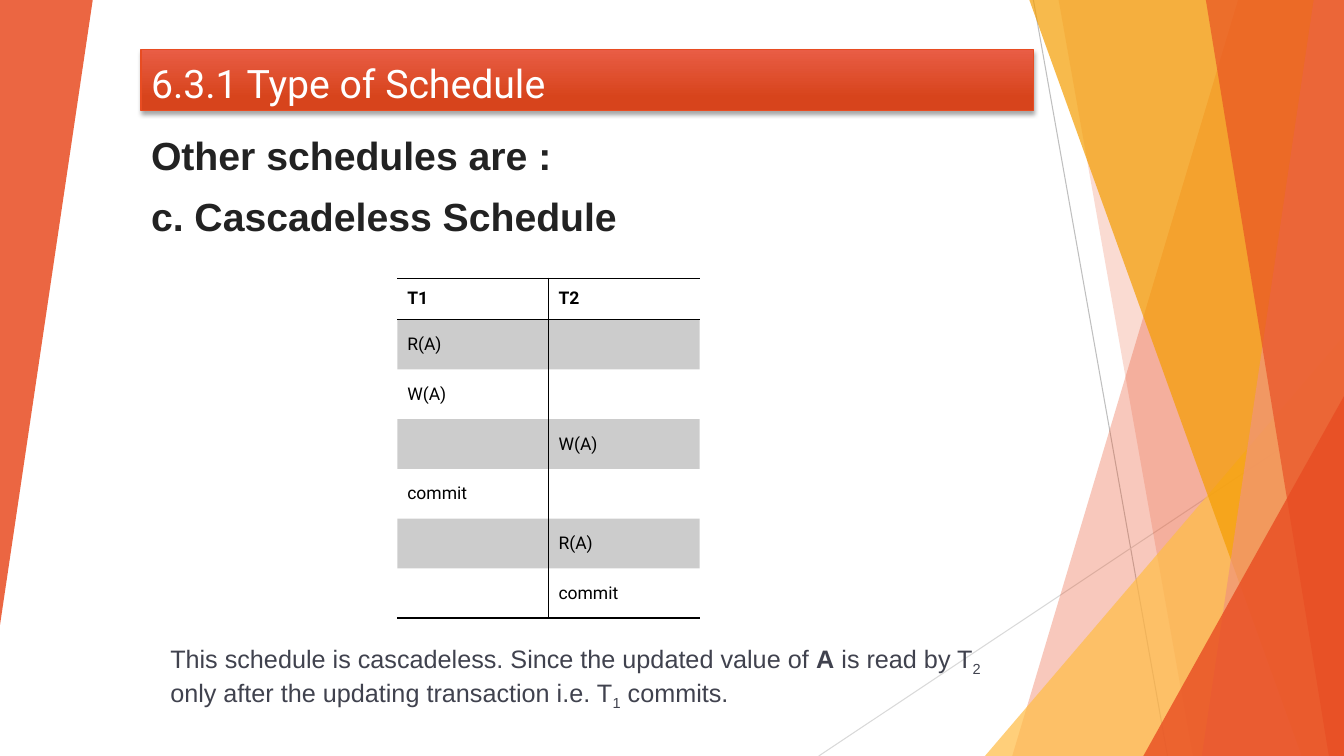
"""Build the slide on the cascadeless schedule, with its table of two transactions."""
from lxml.etree import SubElement
from pptx import Presentation
from pptx.dml.color import RGBColor
from pptx.enum.shapes import MSO_CONNECTOR as Connector, MSO_SHAPE as Shape
from pptx.enum.text import MSO_ANCHOR as Anchor, PP_ALIGN as Align
from pptx.oxml import parse_xml
from pptx.oxml.ns import nsdecls, qn
from pptx.util import Inches, Pt

TITLE = "6.3.1 Type of Schedule"
HEADINGS = ["Other schedules are :", "c. Cascadeless Schedule"]
SCHEDULE = [
    ("T1", "T2"),
    ("R(A)", ""),
    ("W(A)", ""),
    ("", "W(A)"),
    ("commit", ""),
    ("", "R(A)"),
    ("", "commit"),
]
NOTE = [
    ("This schedule is cascadeless. Since the updated value of ", ""),
    ("A", "bold"),
    (" is read by T", ""),
    ("2", "sub"),
    (" only after the updating transaction i.e. T", ""),
    ("1", "sub"),
    (" commits.", ""),
]
COLORS = {
    "orange": "E84C22", "amber": "F49D00", "gold": "FFBD47", "salmon": "F1947A",
    "title_top": "E95D45", "title_bottom": "D7441C", "white": "FFFFFF",
    "black": "000000", "heading": "222222", "note": "40424E",
    "steep_line": "BFBFBF", "flat_line": "D9D9D9",
}

# Places and sizes are percentages of the slide's width and height.
RAYS = [
    ("steep_line", (76.89, 0), (86.87, 100)),
    ("flat_line", (100, 53.73), (60.92, 100)),
]
# A band runs from its top left and bottom left corners to the right edge.
BACK_BANDS = [("orange", 30, 92.12, 75.32), ("orange", 20, 78.77, 88.75)]
FRONT_BANDS = [
    ("amber", 70, 76.59, 96.85),
    ("salmon", 70, 97.75, 89.42),
    ("orange", 65, 89.72, 98.87),
]
BACK_WEDGE = ("gold", 72, (73.29, 44.4, 26.71, 55.6), 0)
FRONT_WEDGES = [
    ("orange", 80, (85.07, 52.4, 14.93, 47.6), 0),
    ("orange", 85, (0, 0, 6.9, 82.67), 180),
]
TITLE_AREA = (10.5, 6.53, 66.39, 8.13)
HEADING_AREA = (10.5, 16.67, 66.39, 16.8)
TABLE_AREA = (29.56, 36.8, 22.5, 44.98)
NOTE_AREA = (11.93, 84.4, 64.07, 9.47)
HEADER_ROW, BODY_ROW = 5.5, 6.58
NO_GRID_STYLE = "{2D5ABB26-0587-4C30-8999-92F81FD0307C}"

deck = Presentation()
deck.slide_width, deck.slide_height = Inches(13.33), Inches(7.5)
slide = deck.slides.add_slide(deck.slide_layouts[6])
shapes = slide.shapes


def across(share):
    return int(deck.slide_width * share / 100)


def down(share):
    return int(deck.slide_height * share / 100)


def place(area):
    left, top, width, height = area
    return across(left), down(top), across(width), down(height)


def rgb(color):
    return RGBColor.from_string(COLORS[color])


def tint(fill, properties, color, opacity):
    fill.solid()
    fill.fore_color.rgb = rgb(color)
    value = properties.find(qn("a:solidFill")).find(qn("a:srgbClr"))
    SubElement(value, qn("a:alpha"), val=str(opacity * 1000))


def write(paragraph, text, size, color, font="Arial", bold=False):
    run = paragraph.add_run()
    run.text = text
    run.font.size, run.font.name, run.font.bold = Pt(size), font, bold
    run.font.color.rgb = rgb(color)
    return run


def add_ray(color, start, end):
    ray = shapes.add_connector(
        Connector.STRAIGHT, across(start[0]), down(start[1]), across(end[0]), down(end[1]))
    ray.line.color.rgb = rgb(color)
    ray.line.width = Pt(0.75)
    SubElement(ray._element.spPr, qn("a:effectLst"))


def finish_facet(facet, color, opacity):
    facet.shadow.inherit = False
    facet.line.fill.background()
    tint(facet.fill, facet._element.spPr, color, opacity)


def add_band(color, opacity, top_left, bottom_left):
    outline = shapes.build_freeform(across(top_left), 0)
    outline.add_line_segments(
        [(across(x), down(y)) for x, y in ((100, 0), (100, 100), (bottom_left, 100))])
    finish_facet(outline.convert_to_shape(), color, opacity)


def add_wedge(color, opacity, area, turn):
    wedge = shapes.add_shape(Shape.ISOSCELES_TRIANGLE, *place(area))
    wedge.adjustments[0] = 1
    wedge.rotation = turn
    finish_facet(wedge, color, opacity)


def add_title():
    banner = shapes.add_shape(Shape.RECTANGLE, *place(TITLE_AREA))
    banner.fill.gradient()
    banner.fill.gradient_angle = 270
    stops = zip(banner.fill.gradient_stops, ("title_top", "title_bottom"), (0, 0.78))
    for stop, color, position in stops:
        stop.color.rgb, stop.position = rgb(color), position
    banner.line.color.rgb = rgb("orange")
    banner.line.width = Pt(1)
    banner._element.spPr.append(parse_xml(
        f'<a:effectLst {nsdecls("a")}><a:outerShdw blurRad="{Pt(3)}" dist="{Pt(2)}" '
        f'dir="5400000" rotWithShape="0"><a:srgbClr val="{COLORS["black"]}">'
        '<a:alpha val="35000"/></a:srgbClr></a:outerShdw></a:effectLst>'))
    banner.text_frame.vertical_anchor = Anchor.BOTTOM
    line = banner.text_frame.paragraphs[0]
    line.alignment = Align.LEFT
    write(line, TITLE, 28, "white", "Roboto")


def add_text_area(area):
    frame = shapes.add_textbox(*place(area)).text_frame
    frame.word_wrap = True
    return frame


def add_headings():
    frame = add_text_area(HEADING_AREA)
    for index, heading in enumerate(HEADINGS):
        line = frame.add_paragraph() if index else frame.paragraphs[0]
        line.alignment = Align.JUSTIFY
        if index:
            line.space_before = Pt(10)
        write(line, heading, 28, "heading", bold=True)


def add_borders(cell, sides):
    for index, side in enumerate(sides):
        cell._tc.get_or_add_tcPr().insert(index, parse_xml(
            f'<a:{side} {nsdecls("a")} w="{Pt(1)}"><a:solidFill>'
            f'<a:srgbClr val="{COLORS["black"]}"/></a:solidFill></a:{side}>'))


def add_schedule():
    table = shapes.add_table(len(SCHEDULE), len(SCHEDULE[0]), *place(TABLE_AREA)).table
    table.horz_banding = False
    table._tbl.tblPr.find(qn("a:tableStyleId")).text = NO_GRID_STYLE
    for row, steps in enumerate(SCHEDULE):
        table.rows[row].height = down(BODY_ROW if row else HEADER_ROW)
        for column, step in enumerate(steps):
            cell = table.cell(row, column)
            cell.vertical_anchor = Anchor.MIDDLE
            cell.margin_left = cell.margin_right = Inches(0.1)
            if step:
                cell.margin_top = cell.margin_bottom = Inches(0.14 if row else 0.1)
                write(cell.text_frame.paragraphs[0], step, 12.5, "black", "Roboto", row == 0)
            if row % 2:
                tint(cell.fill, cell._tc.tcPr, "black", 20)
            else:
                cell.fill.background()
            sides = ["lnL" if column else "lnR"]
            if row == 0:
                sides.append("lnT")
            if row in (0, len(SCHEDULE) - 1):
                sides.append("lnB")
            add_borders(cell, sides)


def add_note():
    line = add_text_area(NOTE_AREA).paragraphs[0]
    for text, style in NOTE:
        run = write(line, text, 18, "note", bold=style == "bold")
        if style == "sub":
            run.font._element.set("baseline", "-25000")


for ray in RAYS:
    add_ray(*ray)
for band in BACK_BANDS:
    add_band(*band)
add_wedge(*BACK_WEDGE)
for band in FRONT_BANDS:
    add_band(*band)
for wedge in FRONT_WEDGES:
    add_wedge(*wedge)
add_title()
add_headings()
add_schedule()
add_note()
deck.save("out.pptx")
